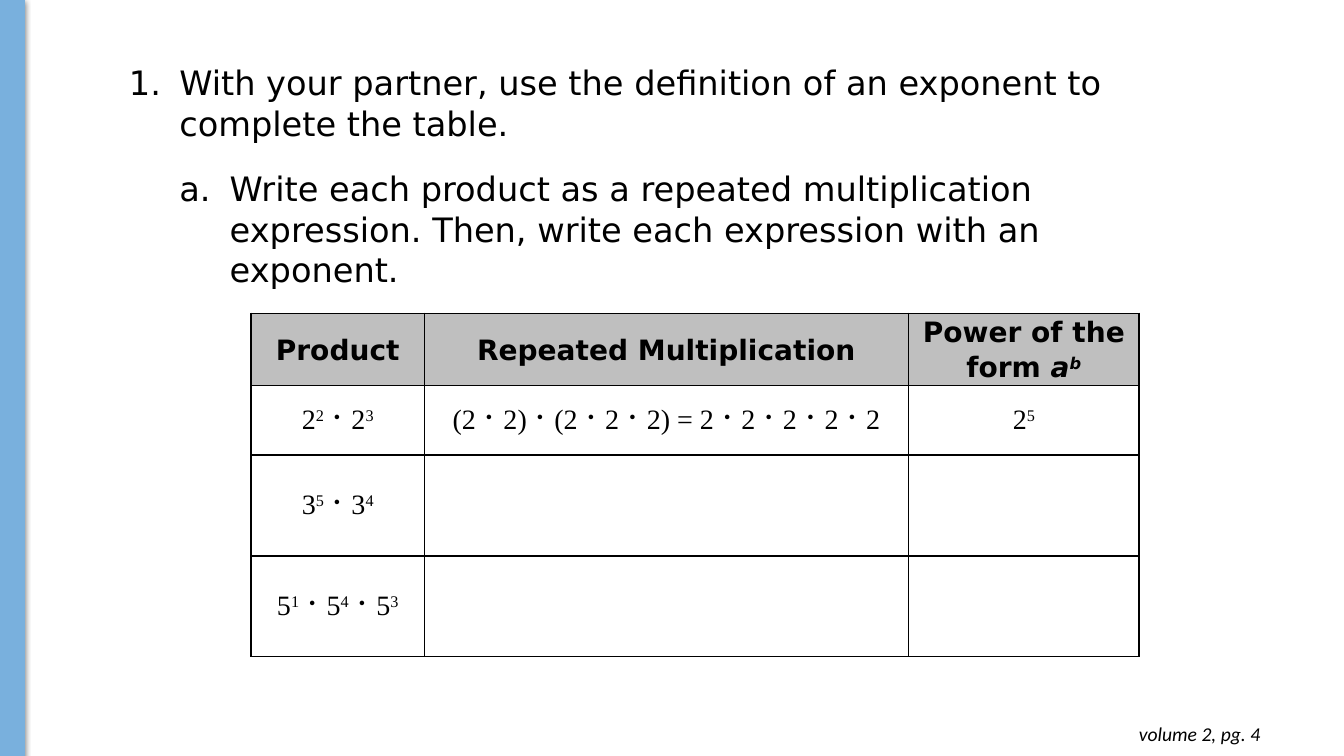
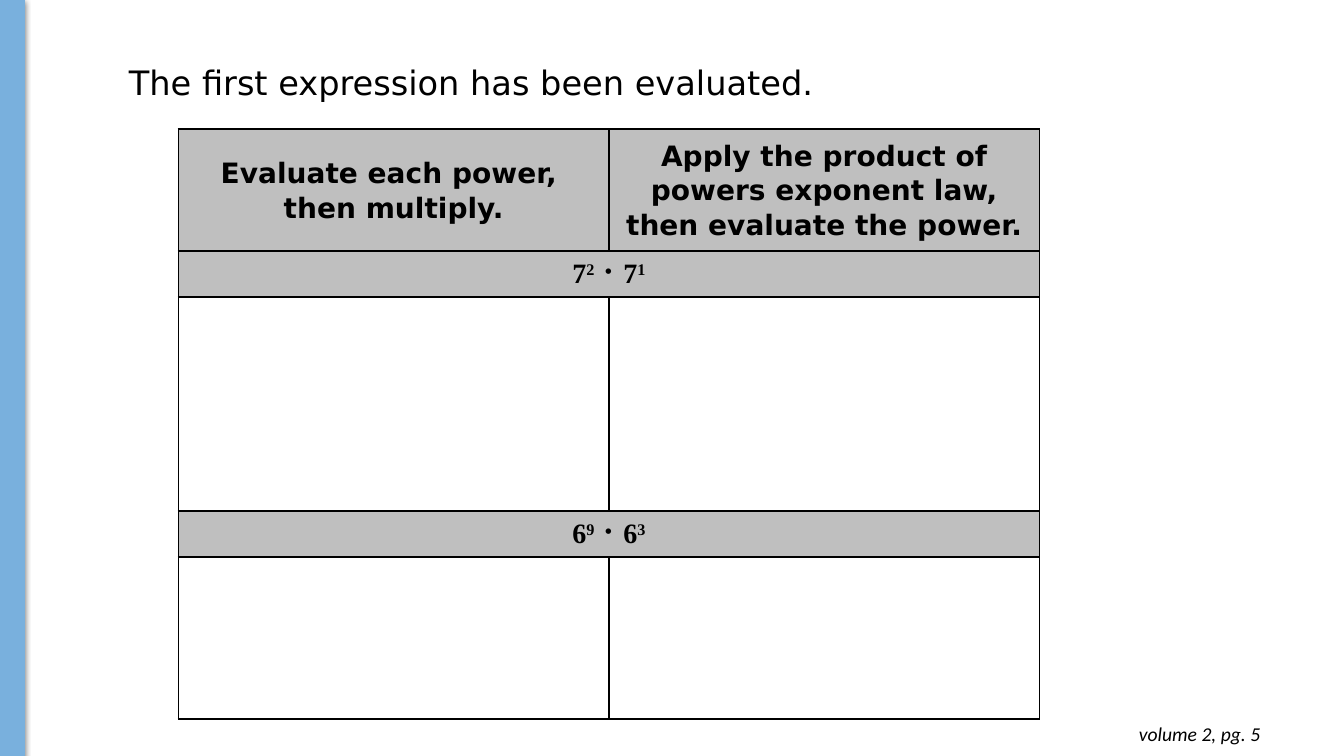
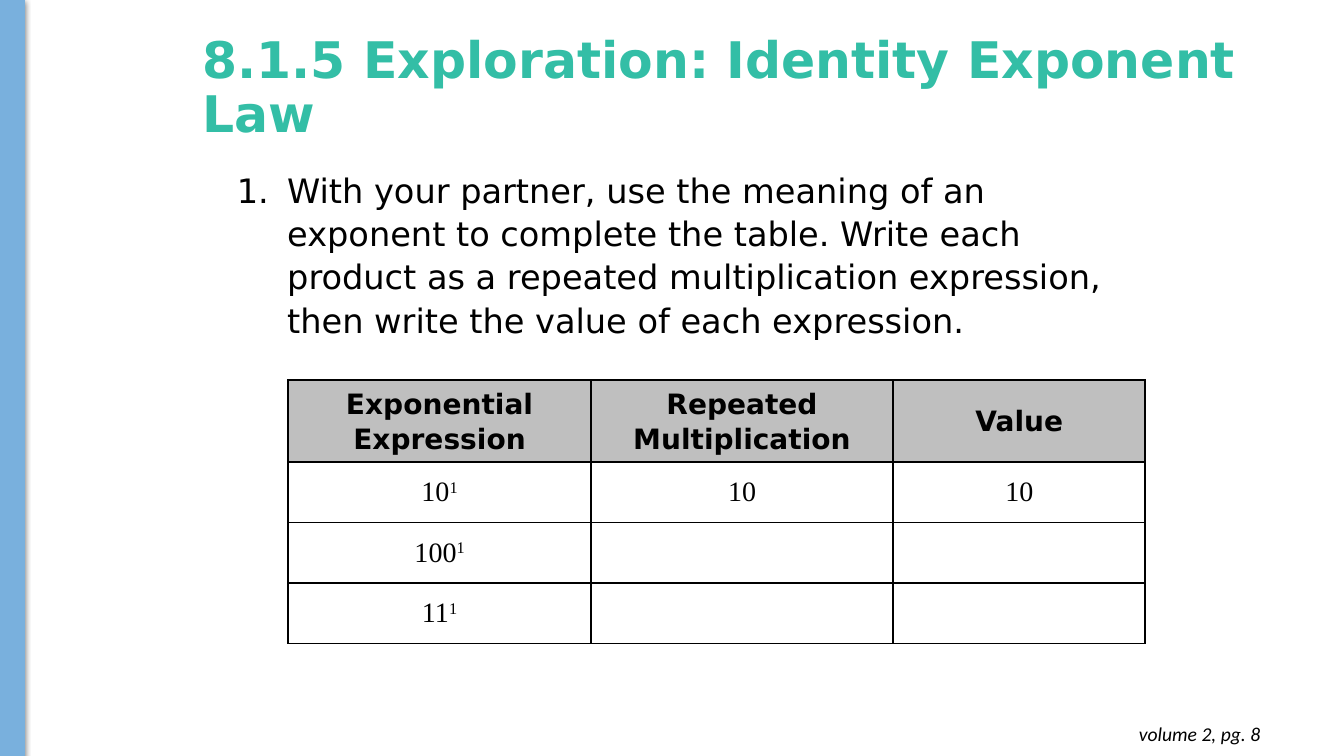
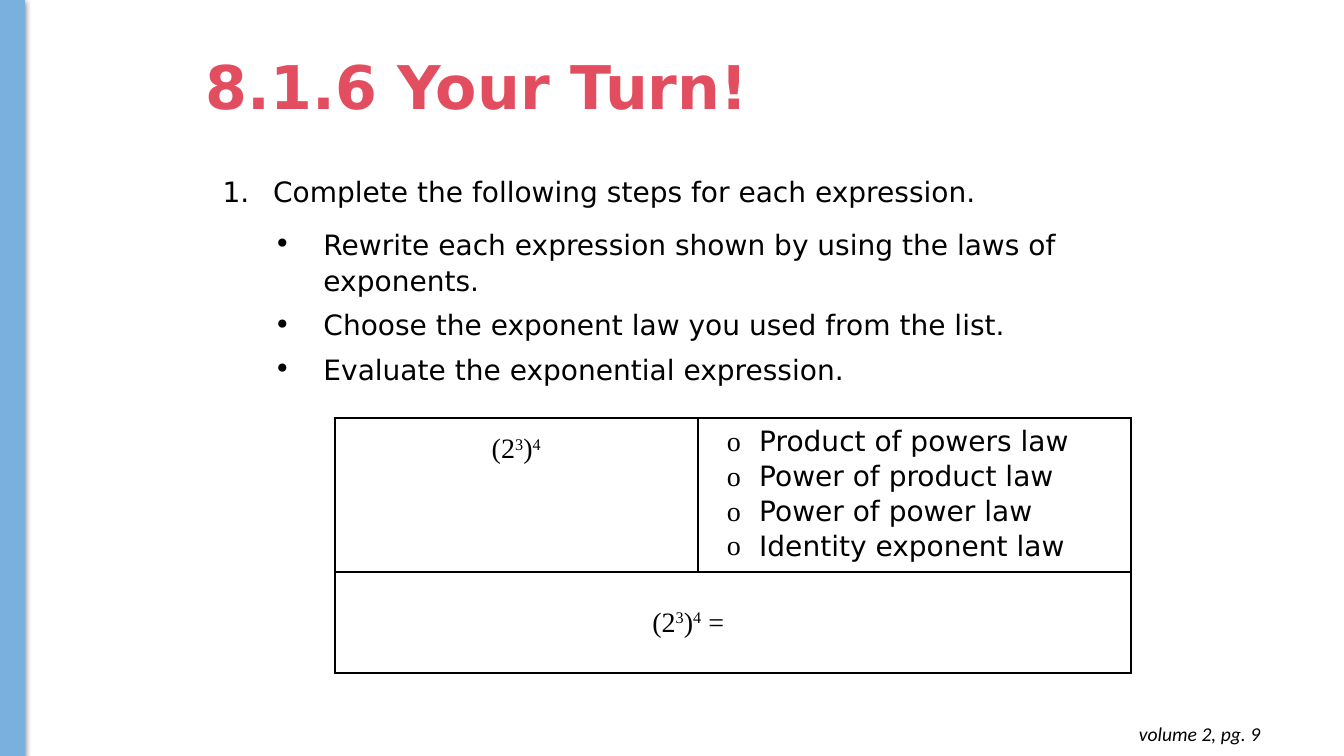
from dataclasses import dataclass

from lxml import etree
from pptx import Presentation
from pptx.dml.color import RGBColor
from pptx.enum.shapes import MSO_SHAPE
from pptx.enum.text import MSO_ANCHOR, MSO_AUTO_SIZE, PP_ALIGN
from pptx.oxml import parse_xml
from pptx.oxml.ns import nsdecls, qn
from pptx.util import Inches, Pt

LEFT, MID, RIGHT = PP_ALIGN.LEFT, PP_ALIGN.CENTER, PP_ALIGN.RIGHT
TOP, CENTRE = MSO_ANCHOR.TOP, MSO_ANCHOR.MIDDLE
GROW, FIXED = MSO_AUTO_SIZE.SHAPE_TO_FIT_TEXT, MSO_AUTO_SIZE.NONE
RECT = MSO_SHAPE.RECTANGLE
TITLE_ONLY, BLANK = 5, 6


@dataclass(frozen=True)
class Theme:
    band: str = "79B0DD"
    ink: str = "000000"
    head: str = "BFBFBF"
    green: str = "33BEA6"
    red: str = "E24E5F"
    sans: str = "DejaVu Sans"
    math: str = "Times New Roman"
    note: str = "Calibri"
    big: int = 24
    mid: int = 20
    small: int = 14
    loose: float = 1.07
    rule: float = 1.5


T = Theme()


# Text
def bullet(para, mark, font, left, hang):
    """Mark is a numbering scheme such as arabicPeriod, or one character."""
    props = para._p.get_or_add_pPr()
    props.set("marL", str(Inches(left)))
    props.set("indent", str(-Inches(hang)))
    color = etree.SubElement(props, qn("a:buClr"))
    etree.SubElement(color, qn("a:srgbClr"), val=T.ink)
    etree.SubElement(props, qn("a:buFont"), typeface=font)
    if len(mark) > 1:
        etree.SubElement(props, qn("a:buAutoNum"), type=mark)
    else:
        etree.SubElement(props, qn("a:buChar"), char=mark)


def write(frame, text, size=T.mid, font=T.sans, color=T.ink, bold=False,
          italic=False, align=LEFT, space=None, before=0, mark=None,
          face=T.sans, left=0, hang=0):
    """Add a paragraph; ^ switches superscript and _ switches italics."""
    para = frame.add_paragraph() if frame.text else frame.paragraphs[0]
    para.alignment = align
    if space:
        para.line_spacing = space
    if before:
        para.space_before = Pt(before)
    if mark:
        bullet(para, mark, face, left, hang)
    elif left:
        para._p.get_or_add_pPr().set("marL", str(Inches(left)))
    for i, part in enumerate(text.split("^")):
        for j, bit in enumerate(part.split("_")):
            for k, line in enumerate(bit.split("\n")):
                if k:
                    para.add_line_break()
                if not line:
                    continue
                run = para.add_run()
                run.text = line
                run.font.size, run.font.name = Pt(size), font
                run.font.bold = bold
                run.font.italic = italic or j % 2 == 1
                run.font.color.rgb = RGBColor.from_string(color)
                if i % 2:
                    run.font._element.set("baseline", "30000")


def inset(part, x, y):
    part.margin_left = part.margin_right = Inches(x)
    part.margin_top = part.margin_bottom = Inches(y)


def area(slide, box, x=0.1, y=0.05):
    shape = slide.shapes.add_textbox(*map(Inches, box))
    frame = shape.text_frame
    frame.word_wrap, frame.auto_size = True, GROW
    inset(frame, x, y)
    return frame


# Shared frame of every slide
def band(slide, box):
    bar = slide.shapes.add_shape(RECT, *map(Inches, box))
    bar.fill.solid()
    bar.fill.fore_color.rgb = RGBColor.from_string(T.band)
    bar.line.color.rgb = RGBColor.from_string(T.band)
    bar.line.width = Pt(0.75)
    bar.shadow.inherit = False
    glow = parse_xml(
        f'<a:outerShdw {nsdecls("a")} blurRad="{Pt(4.5)}" dist="{Pt(1.5)}" '
        f'dir="5400000" rotWithShape="0"><a:srgbClr val="{T.ink}">'
        '<a:alpha val="50000"/></a:srgbClr></a:outerShdw>')
    bar._element.spPr.find(qn("a:effectLst")).append(glow)


def heading(slide, text, box, size, color):
    title = slide.shapes.title
    title.left, title.top, title.width, title.height = map(Inches, box)
    frame = title.text_frame
    frame.word_wrap, frame.auto_size = True, FIXED
    frame.vertical_anchor = CENTRE
    inset(frame, 0.1, 0.05)
    write(frame, text, size=size, color=color, bold=True, space=0.9)


def start(deck, page, title=None):
    layout = deck.slide_layouts[TITLE_ONLY if title else BLANK]
    slide = deck.slides.add_slide(layout)
    band(slide, (0, 0, 0.24, 7.5))
    if title:
        heading(slide, **title)
    foot = area(slide, (9.72, 7.06, 2.88, 0.44), y=0.1)
    write(foot, f"volume 2, pg. {page}", size=T.small, font=T.note,
          italic=True, align=RIGHT)
    return slide


# Tables
def border(cell):
    props = cell._tc.get_or_add_tcPr()
    for side in ("lnL", "lnR", "lnT", "lnB"):
        props.append(parse_xml(
            f'<a:{side} {nsdecls("a")} w="{Pt(T.rule)}"><a:solidFill>'
            f'<a:srgbClr val="{T.ink}"/></a:solidFill></a:{side}>'))


def grid(slide, spot, cols, rows, pad=(0.1, 0.05)):
    box = (*spot, sum(cols), sum(rows))
    shape = slide.shapes.add_table(len(rows), len(cols), *map(Inches, box))
    table = shape.table
    table.first_row = table.horz_banding = False
    for col, width in zip(table.columns, cols):
        col.width = Inches(width)
    for row, height in zip(table.rows, rows):
        row.height = Inches(height)
    for cell in table.iter_cells():
        border(cell)
        cell.fill.background()
        cell.vertical_anchor = CENTRE
        inset(cell, *pad)
    return table


def shade(cell):
    cell.fill.solid()
    cell.fill.fore_color.rgb = RGBColor.from_string(T.head)


def heads(table, names):
    for col, name in enumerate(names):
        cell = table.cell(0, col)
        shade(cell)
        write(cell.text_frame, name, bold=True, align=MID, space=T.loose)


def sums(table, lines):
    for row, line in enumerate(lines, 1):
        for col, text in enumerate(line):
            write(table.cell(row, col).text_frame, text, font=T.math,
                  align=MID)


def join(table, row):
    cell = table.cell(row, 0)
    cell.merge(table.cell(row, len(table.columns) - 1))
    return cell


# Slides
def product(deck):
    slide = start(deck, 4)
    text = area(slide, (1.18, 0.57, 10.12, 2.37))
    write(text, "With your partner, use the definition of an exponent to "
          "complete the table.", size=T.big, mark="arabicPeriod",
          left=0.5, hang=0.5)
    write(text, "Write each product as a repeated multiplication expression. "
          "Then, write each expression with an exponent.", size=T.big,
          mark="alphaLcPeriod", left=1, hang=0.5, before=18)
    table = grid(slide, (2.49, 3.11), (1.72, 4.8, 2.29), (0.7, 0.69, 1, 1),
                 pad=(0.07, 0))
    heads(table, ("Product", "Repeated Multiplication",
                  "Power of the form _a_^_b_^"))
    sums(table, (
        ("2^2^ ⠂2^3^", "(2 ⠂2) ⠂(2 ⠂2 ⠂2) = 2 ⠂2 ⠂2 ⠂2 ⠂2", "2^5^"),
        ("3^5^ ⠂3^4^",),
        ("5^1^ ⠂5^4^ ⠂5^3^",)))


def powers(deck):
    slide = start(deck, 5)
    text = area(slide, (1.18, 0.57, 10.12, 0.5))
    write(text, "The first expression has been evaluated.", size=T.big)
    table = grid(slide, (1.77, 1.28), (4.27, 4.27),
                 (1.21, 0.46, 2.12, 0.46, 1.6))
    heads(table, ("Evaluate each power, \nthen multiply.",
                  "Apply the product of powers exponent law, then evaluate "
                  "the power."))
    for row, term in ((1, "7^2^ ⠂7^1^"), (3, "6^9^ ⠂6^3^")):
        cell = join(table, row)
        shade(cell)
        write(cell.text_frame, term, font=T.math, bold=True, align=MID)


def identity(deck):
    slide = start(deck, 8, dict(
        text="8.1.5 Exploration: Identity Exponent Law",
        box=(1.91, 0.16, 10.52, 1.45), size=36, color=T.green))
    text = area(slide, (2.25, 1.61, 9.11, 1.83))
    write(text, "With your partner, use the meaning of an exponent to "
          "complete the table. Write each product as a repeated "
          "multiplication expression, then write the value of each "
          "expression.", size=T.big, space=T.loose, mark="arabicPeriod",
          left=0.5, hang=0.5)
    table = grid(slide, (2.86, 3.77), (3, 3, 2.5), (0.79, 0.6, 0.6, 0.6))
    heads(table, ("Exponential Expression", "Repeated Multiplication",
                  "Value"))
    sums(table, (("10^1^", "10", "10"), ("100^1^",), ("11^1^",)))


def turn(deck):
    slide = start(deck, 9, dict(
        text="8.1.6 Your Turn!",
        box=(1.94, 0.48, 9.34, 0.82), size=43, color=T.red))
    text = area(slide, (2.11, 1.66, 9.11, 2.24))
    write(text, "Complete the following steps for each expression.",
          space=T.loose, mark="arabicPeriod", left=0.5, hang=0.5)
    steps = (
        ("Rewrite each expression shown by using the laws of exponents.", 12),
        ("Choose the exponent law you used from the list.", 6),
        ("Evaluate the exponential expression.", 6))
    for step, gap in steps:
        write(text, step, space=T.loose, before=gap, mark="•", left=1,
              hang=0.49)

    table = grid(slide, (3.32, 4.15), (3.6, 4.3), (1.5, 1), pad=(0.15, 0.15))
    term, laws = table.cell(0, 0), table.cell(0, 1)
    term.vertical_anchor = laws.vertical_anchor = TOP
    write(term.text_frame, "(2^3^)^4^", font=T.math, align=MID)
    inset(laws, 0.1, 0.05)
    for law in ("Product of powers", "Power of product", "Power of power",
                "Identity exponent"):
        write(laws.text_frame, f"{law} law", space=T.loose, mark="o",
              face=T.math, left=0.51, hang=0.32)
    write(join(table, 1).text_frame, "(2^3^)^4^ =", font=T.math, left=3)


def main():
    deck = Presentation()
    deck.slide_width, deck.slide_height = Inches(13.33), Inches(7.5)
    for build in (product, powers, identity, turn):
        build(deck)
    deck.save("out.pptx")


if __name__ == "__main__":
    main()
